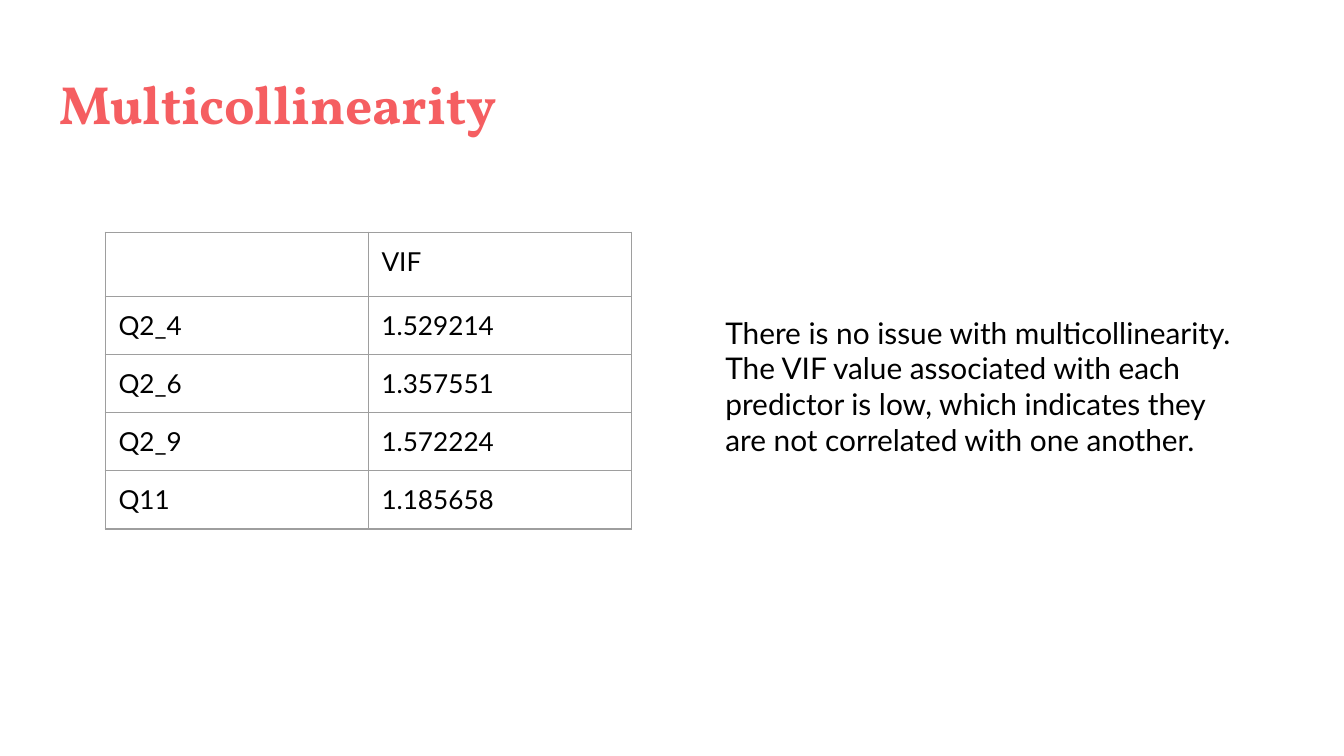
"""Build a slide that reports the VIF of each predictor."""
from dataclasses import dataclass

from lxml.etree import SubElement
from pptx import Presentation
from pptx.dml.color import RGBColor as RGB
from pptx.enum.text import MSO_ANCHOR as Anchor
from pptx.oxml.ns import qn
from pptx.util import Cm, Pt


@dataclass(frozen=True)
class Font:
    name: str
    size: float
    color: str
    bold: bool = False


@dataclass(frozen=True)
class Theme:
    title: Font = Font("Vollkorn", 28.8, "F55E61", True)
    body: Font = Font("Lato", 16, "000000")
    cell: Font = Font("Lato", 14, "000000")
    border: str = "9E9E9E"
    border_width: float = 0.75
    inset: float = 0.25


@dataclass(frozen=True)
class TextBlock:
    text: str
    left: float
    top: float
    width: float
    height: float
    font: Font


THEME = Theme()
BLOCKS = [
    TextBlock("Multicollinearity", 0.87, 1.09, 23.67, 1.73, THEME.title),
    TextBlock(
        "There is no issue with multicollinearity. The VIF value associated with "
        "each predictor is low, which indicates they are not correlated with one another.",
        13.46, 5.69, 10.36, 3.25, THEME.body),
]
ROWS = [
    ("", "VIF"),
    ("Q2_4", "1.529214"),
    ("Q2_6", "1.357551"),
    ("Q2_9", "1.572224"),
    ("Q11", "1.185658"),
]
TABLE_LEFT, TABLE_TOP = 1.99, 4.39
COL_WIDTH, HEADER_HEIGHT, ROW_HEIGHT = 4.97, 1.21, 1.1


def set_insets(frame) -> None:
    inset = Cm(THEME.inset)
    frame.margin_left = frame.margin_right = inset
    frame.margin_top = frame.margin_bottom = inset


def style(p, font: Font) -> None:
    p.font.size = Pt(font.size)
    for r in p.runs:
        r.font.name = font.name
        r.font.size = Pt(font.size)
        r.font.bold = font.bold
        r.font.color.rgb = RGB.from_string(font.color)


def add_text(s, block: TextBlock) -> None:
    sp = s.shapes.add_textbox(
        Cm(block.left), Cm(block.top), Cm(block.width), Cm(block.height))
    tf = sp.text_frame
    tf.word_wrap = True
    tf.vertical_anchor = Anchor.TOP
    set_insets(tf)
    tf.text = block.text
    style(tf.paragraphs[0], block.font)


def add_borders(cell) -> None:
    tc_pr = cell._tc.get_or_add_tcPr()
    for i, side in enumerate(("a:lnL", "a:lnR", "a:lnT", "a:lnB")):
        ln = SubElement(tc_pr, qn(side), w=str(Pt(THEME.border_width)))
        fill = SubElement(ln, qn("a:solidFill"))
        SubElement(fill, qn("a:srgbClr"), val=THEME.border)
        tc_pr.insert(i, ln)


def add_vif_table(s) -> None:
    height = HEADER_HEIGHT + ROW_HEIGHT * (len(ROWS) - 1)
    table = s.shapes.add_table(
        len(ROWS), 2, Cm(TABLE_LEFT), Cm(TABLE_TOP),
        Cm(2 * COL_WIDTH), Cm(height)).table
    table.first_row = table.horz_banding = False
    for col in table.columns:
        col.width = Cm(COL_WIDTH)
    for i, values in enumerate(ROWS):
        table.rows[i].height = Cm(ROW_HEIGHT if i else HEADER_HEIGHT)
        for j, value in enumerate(values):
            cell = table.cell(i, j)
            cell.fill.background()
            set_insets(cell)
            add_borders(cell)
            cell.text_frame.text = value
            style(cell.text_frame.paragraphs[0], THEME.cell)


def main() -> None:
    prs = Presentation()
    prs.slide_width, prs.slide_height = Cm(25.4), Cm(14.29)
    s = prs.slides.add_slide(prs.slide_layouts[6])
    for block in BLOCKS:
        add_text(s, block)
    add_vif_table(s)
    prs.save("out.pptx")


if __name__ == "__main__":
    main()
